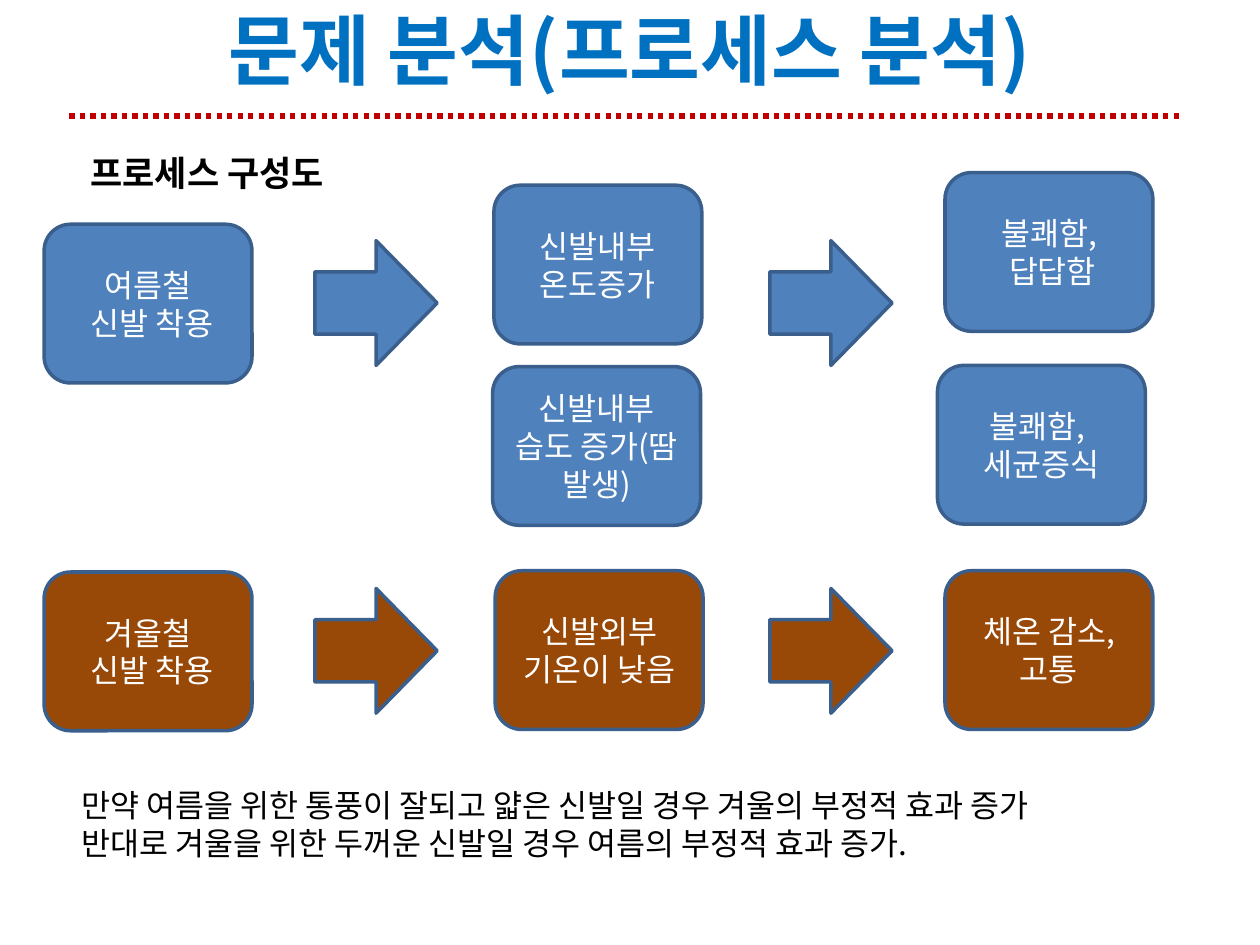
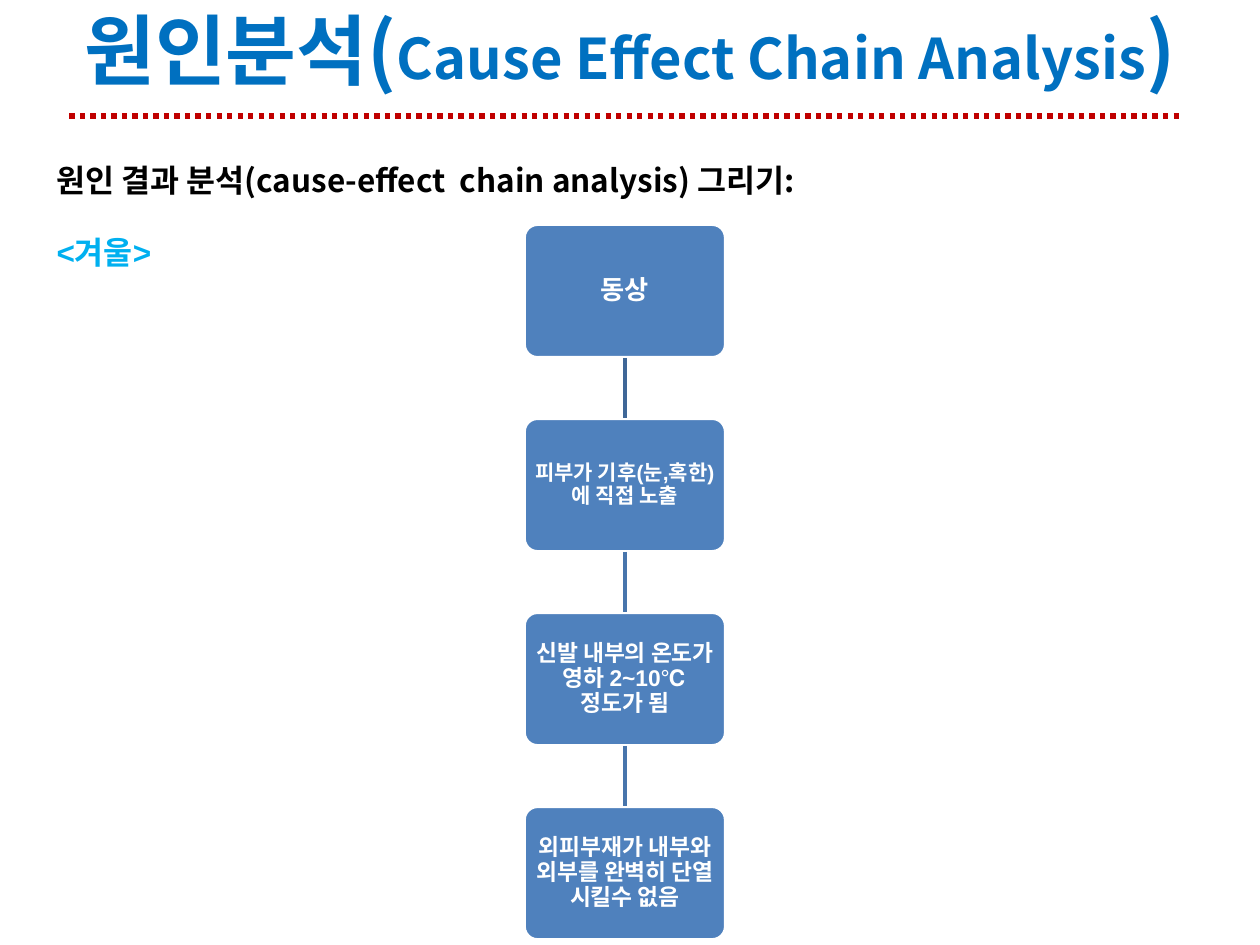
"""Builds two slides on shoe problems: process analysis and cause-effect chain."""
from typing import NamedTuple

from lxml.etree import SubElement
from pptx import Presentation
from pptx.dml.color import RGBColor
from pptx.enum.dml import MSO_LINE
from pptx.enum.shapes import MSO_CONNECTOR, MSO_SHAPE
from pptx.enum.text import MSO_ANCHOR, MSO_AUTO_SIZE, PP_ALIGN
from pptx.oxml.ns import qn
from pptx.util import Inches, Pt

COLORS = {
    "paper": "FFFFFF", "ink": "000000", "title": "0070C0", "rule": "C00000",
    "summer": "4F81BD", "winter": "984807", "outline": "3A5F8C",
    "first_link": "3F6797", "link": "4875AC", "season": "00B0F0",
}
KOREAN = "Noto Sans CJK KR"
LATIN = "Arial"
STEP_SIZE = (1.65, 1.26)
ARROW_SIZE = (0.97, 0.99)
ARROW_LEFTS = (2.5, 6.11)
CAUSE_LEFT, CAUSE_TOP, CAUSE_PITCH = 4.16, 1.78, 1.54
CAUSE_SIZE = (1.6, 1.06)


class Step(NamedTuple):
    left: float
    top: float
    season: str
    lines: tuple[str, ...]


class Cause(NamedTuple):
    text: str
    size: int


class Note(NamedTuple):
    box: tuple[float, float, float, float]
    lines: tuple[str, ...]
    size: int = 18
    bold: bool = False
    color: str = "ink"
    font: str = KOREAN
    wrap: bool = True


class TitlePart(NamedTuple):
    text: str
    size: int = 44


STEPS = (
    Step(0.35, 1.78, "summer", ("여름철", " 신발 착용")),
    Step(3.92, 1.47, "summer", ("신발내부 온도증가",)),
    Step(7.5, 1.37, "summer", ("불쾌함,", " 답답함")),
    Step(3.91, 2.91, "summer", ("신발내부 습도 증가(땀 발생)",)),
    Step(7.44, 2.9, "summer", ("불쾌함, ", "세균증식")),
    Step(0.35, 4.54, "winter", ("겨울철", " 신발 착용")),
    Step(3.93, 4.53, "winter", ("신발외부 기온이 낮음",)),
    Step(7.5, 4.53, "winter", ("체온 감소,", "고통")),
)
ARROW_TOPS = {"summer": 1.91, "winter": 4.67}
PROCESS_NOTES = (
    Note((0.62, 1.15, 2.36, 0.44), ("프로세스 구성도",), size=20, bold=True, wrap=False),
    Note((0.55, 6.19, 8.71, 0.71), (
        "만약 여름을 위한 통풍이 잘되고 얇은 신발일 경우 겨울의 부정적 효과 증가",
        "반대로 겨울을 위한 두꺼운 신발일 경우 여름의 부정적 효과 증가.",
    )),
)
CAUSES = (
    Cause("동상", 15),
    Cause("피부가 기후(눈,혹한)에 직접 노출", 12),
    Cause("신발 내부의 온도가 영하 2~10℃ 정도가 됨", 13),
    Cause("외피부재가 내부와 외부를 완벽히 단열 시킬수 없음", 13),
)
CAUSE_NOTES = (
    Note((0.35, 1.23, 8.82, 0.4),
         ("원인 결과 분석(cause-effect  chain analysis) 그리기:",), bold=True),
    Note((0.35, 1.8, 1.42, 0.4), ("<겨울>",), bold=True, color="season", font=LATIN),
)


def rgb(name: str) -> RGBColor:
    """Returns the named colour."""
    return RGBColor.from_string(COLORS[name])


def style(paragraph, size: int, color: str, bold: bool = False, font: str = KOREAN) -> None:
    """Sets the font of a paragraph, with a Korean face for East Asian text."""
    paragraph.font.size = Pt(size)
    paragraph.font.bold = bold
    paragraph.font.color.rgb = rgb(color)
    paragraph.font.name = font
    defaults = paragraph._p.get_or_add_pPr().find(qn("a:defRPr"))
    SubElement(defaults, qn("a:ea")).set("typeface", KOREAN)


def add_line(slide, start: tuple[float, float], end: tuple[float, float],
             color: str, width: float):
    """Draws a straight line without a shadow."""
    line = slide.shapes.add_connector(
        MSO_CONNECTOR.STRAIGHT, *(Inches(value) for value in (*start, *end)))
    line.line.color.rgb = rgb(color)
    line.line.width = Pt(width)
    SubElement(line._element.spPr, qn("a:effectLst"))
    return line


def add_block(slide, kind: MSO_SHAPE, box: tuple[float, ...], fill: str, outline: str):
    """Draws a filled and outlined shape."""
    block = slide.shapes.add_shape(kind, *(Inches(value) for value in box))
    block.shadow.inherit = False
    block.fill.solid()
    block.fill.fore_color.rgb = rgb(fill)
    block.line.color.rgb = rgb(outline)
    block.line.width = Pt(2)
    return block


def write_lines(frame, lines: tuple[str, ...], size: int, color: str,
                bold: bool = False, font: str = KOREAN, align=PP_ALIGN.LEFT) -> None:
    """Writes each line as a paragraph in one style."""
    frame.text = "\n".join(lines)
    for paragraph in frame.paragraphs:
        paragraph.alignment = align
        style(paragraph, size, color, bold, font)


def add_note(slide, note: Note) -> None:
    """Adds a free-standing text."""
    frame = slide.shapes.add_textbox(*(Inches(value) for value in note.box)).text_frame
    frame.word_wrap = note.wrap
    write_lines(frame, note.lines, note.size, note.color, note.bold, note.font)


def add_step(slide, step: Step) -> None:
    """Adds one step of the process."""
    block = add_block(slide, MSO_SHAPE.ROUNDED_RECTANGLE,
                      (step.left, step.top, *STEP_SIZE), step.season, "outline")
    frame = block.text_frame
    frame.vertical_anchor = MSO_ANCHOR.MIDDLE
    write_lines(frame, step.lines, 18, "paper", align=PP_ALIGN.CENTER)


def add_cause(slide, cause: Cause, top: float):
    """Adds one link of the cause chain."""
    block = add_block(slide, MSO_SHAPE.ROUNDED_RECTANGLE,
                      (CAUSE_LEFT, top, *CAUSE_SIZE), "summer", "paper")
    block.adjustments[0] = 0.1
    frame = block.text_frame
    frame.vertical_anchor = MSO_ANCHOR.MIDDLE
    frame.margin_left = frame.margin_right = Inches(0.05)
    frame.margin_top = frame.margin_bottom = Inches(0.05)
    write_lines(frame, (cause.text,), cause.size, "paper", True, LATIN, PP_ALIGN.CENTER)
    frame.paragraphs[0].line_spacing = 0.9
    return block


def start_slide(deck, parts: tuple[TitlePart, ...]):
    """Adds a slide with the title band and the dotted rule."""
    slide = deck.slides.add_slide(deck.slide_layouts[5])
    title = slide.shapes.title
    title.left, title.top = Inches(0), Inches(-0.08)
    title.width, title.height = Inches(10), Inches(0.94)
    title.fill.solid()
    title.fill.fore_color.rgb = rgb("paper")
    frame = title.text_frame
    frame.auto_size = MSO_AUTO_SIZE.NONE
    frame.vertical_anchor = MSO_ANCHOR.MIDDLE
    heading = frame.paragraphs[0]
    heading.alignment = PP_ALIGN.CENTER
    style(heading, parts[0].size, "title", bold=True)
    for part in parts:
        run = heading.add_run()
        run.text = part.text
        if part.size != parts[0].size:
            run.font.size = Pt(part.size)
    rule = add_line(slide, (0.55, 0.92), (9.38, 0.92), "rule", 3)
    rule.line.dash_style = MSO_LINE.ROUND_DOT
    return slide


def build_process(deck) -> None:
    """Builds the process analysis slide."""
    slide = start_slide(deck, (TitlePart("문제 분석(프로세스 분석)"),))
    for note in PROCESS_NOTES:
        add_note(slide, note)
    for season, top in ARROW_TOPS.items():
        for left in ARROW_LEFTS:
            add_block(slide, MSO_SHAPE.RIGHT_ARROW, (left, top, *ARROW_SIZE), season, "outline")
    for step in STEPS:
        add_step(slide, step)


def build_causes(deck) -> None:
    """Builds the cause-effect chain slide."""
    slide = start_slide(deck, (
        TitlePart("원인분석("), TitlePart("Cause Effect Chain Analysis", 32), TitlePart(")")))
    for note in CAUSE_NOTES:
        add_note(slide, note)
    chain = [add_cause(slide, cause, CAUSE_TOP + index * CAUSE_PITCH)
             for index, cause in enumerate(CAUSES)]
    for index, (effect, cause) in enumerate(zip(chain, chain[1:])):
        link = add_line(slide, (0, 0), (0, 0), "link" if index else "first_link", 2)
        link.begin_connect(effect, 2)
        link.end_connect(cause, 0)


def main() -> None:
    """Builds and saves the presentation."""
    deck = Presentation()
    deck.slide_width, deck.slide_height = Inches(10), Inches(7.5)
    build_process(deck)
    build_causes(deck)
    deck.save("out.pptx")


if __name__ == "__main__":
    main()
